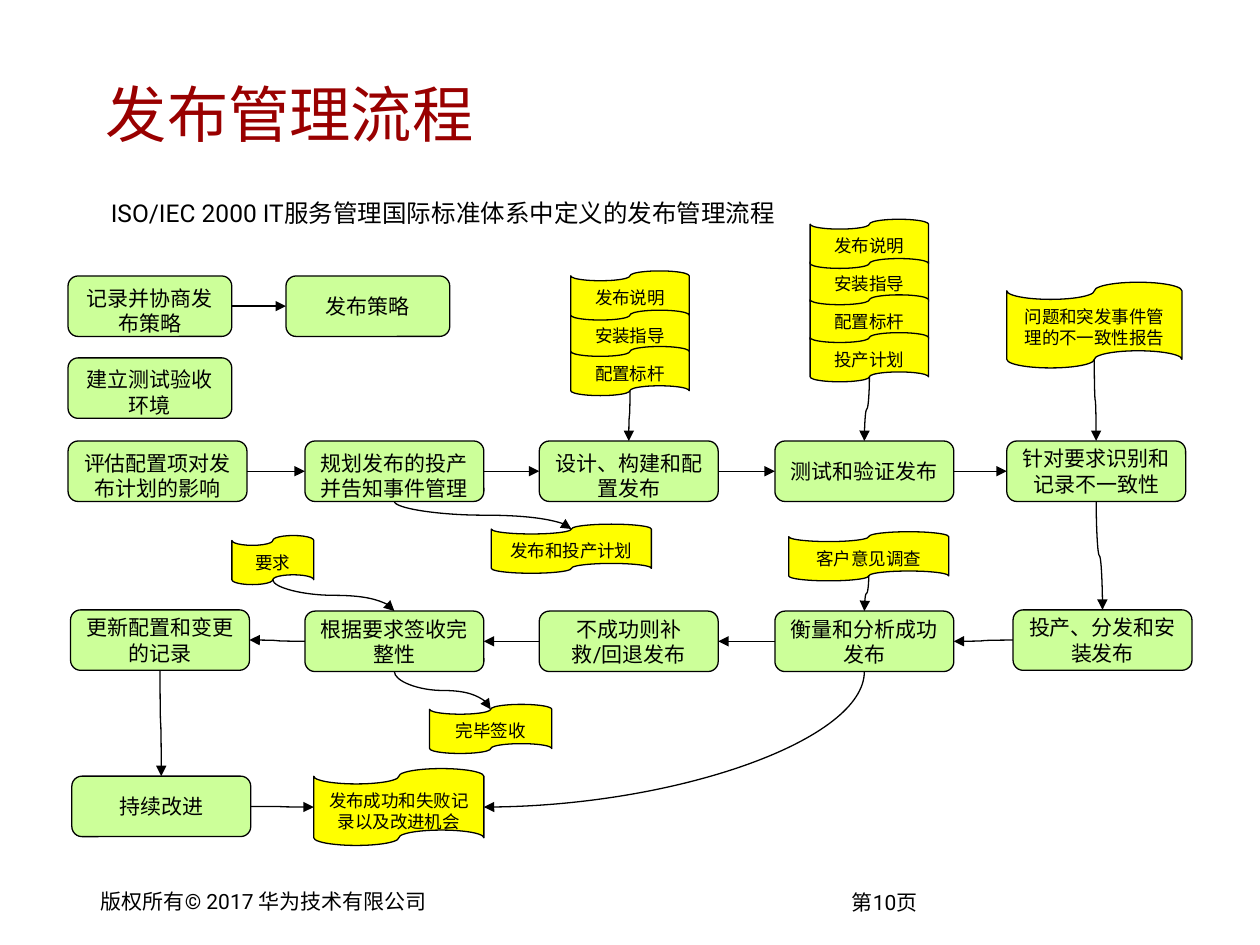
"""Build the release management process flow slide."""
from lxml import etree
from pptx import Presentation
from pptx import util as u
from pptx.dml.color import RGBColor
from pptx.enum import shapes, text
from pptx.oxml import ns

COLORS = {"title": "990000", "ink": "000000", "step": "CCFF99", "document": "FFFF00"}
TOP, LEFT, BOTTOM, RIGHT = range(4)
MIDDLE, UPPER = text.MSO_ANCHOR.MIDDLE, text.MSO_ANCHOR.TOP


def write(shape, wording, size, color="ink", align=text.PP_ALIGN.LEFT, anchor=UPPER, inset=(0.1, 0.05)):
    frame = shape.text_frame
    frame.text = wording
    frame.word_wrap = True
    frame.auto_size = text.MSO_AUTO_SIZE.NONE
    frame.vertical_anchor = anchor
    frame.margin_left = frame.margin_right = u.Inches(inset[0])
    frame.margin_top = frame.margin_bottom = u.Inches(inset[1])
    paragraph = frame.paragraphs[0]
    paragraph.alignment = align
    for run in paragraph.runs:
        run.font.size = u.Pt(size)
        run.font.name = "Roboto"
        run.font.color.rgb = RGBColor.from_string(COLORS[color])


def add_node(kind, wording, left, top, width, height, anchor=UPPER):
    preset, size = {
        "step": (shapes.MSO_SHAPE.FLOWCHART_ALTERNATE_PROCESS, 12),
        "document": (shapes.MSO_SHAPE.FLOWCHART_PUNCHED_TAPE, 10),
    }[kind]
    node = slide.shapes.add_shape(preset, *map(u.Inches, (left, top, width, height)))
    node.shadow.inherit = False
    node.fill.solid()
    node.fill.fore_color.rgb = RGBColor.from_string(COLORS[kind])
    node.line.color.rgb = RGBColor.from_string(COLORS["ink"])
    node.line.width = u.Pt(0.75)
    write(node, wording, size, align=text.PP_ALIGN.CENTER, anchor=anchor)
    return node


prs = Presentation()
prs.slide_width, prs.slide_height = u.Inches(10), u.Inches(7.5)
slide = prs.slides.add_slide(prs.slide_layouts[5])

title = slide.shapes.title
title.left, title.top, title.width, title.height = map(u.Inches, (0.75, 0.42, 8.44, 0.95))
write(title, "发布管理流程", 35, "title", anchor=MIDDLE, inset=(0.09, 0.04))

captions = [
    ("第10页", 12, (6.67, 7.02, 0.72, 0.29), (0.09, 0.04)),
    ("版权所有© 2017 华为技术有限公司", 12, (0.71, 7.01, 2.79, 0.29), (0.09, 0.04)),
    ("ISO/IEC 2000 IT服务管理国际标准体系中定义的发布管理流程", 14, (0.77, 1.52, 8.47, 0.35), (0.11, 0.05)),
]
for wording, size, box, inset in captions:
    write(slide.shapes.add_textbox(*map(u.Inches, box)), wording, size, inset=inset)

steps = [
    ("agree", "记录并协商发布策略", 0.54, 2.19, 1.3, UPPER),
    ("policy", "发布策略", 2.27, 2.19, 1.3, MIDDLE),
    ("environment", "建立测试验收环境", 0.54, 2.84, 1.3, UPPER),
    ("assess", "评估配置项对发布计划的影响", 0.54, 3.5, 1.42, UPPER),
    ("plan", "规划发布的投产并告知事件管理", 2.42, 3.5, 1.42, UPPER),
    ("design", "设计、构建和配置发布", 4.28, 3.5, 1.42, UPPER),
    ("test", "测试和验证发布", 6.15, 3.5, 1.42, MIDDLE),
    ("identify", "针对要求识别和记录不一致性", 7.99, 3.5, 1.42, MIDDLE),
    ("deploy", "投产、分发和安装发布", 8.04, 4.84, 1.42, MIDDLE),
    ("measure", "衡量和分析成功发布", 6.15, 4.85, 1.42, MIDDLE),
    ("fallback", "不成功则补救/回退发布", 4.28, 4.85, 1.42, MIDDLE),
    ("sign_off", "根据要求签收完整性", 2.42, 4.85, 1.42, MIDDLE),
    ("update", "更新配置和变更的记录", 0.56, 4.84, 1.42, MIDDLE),
    ("improve", "持续改进", 0.57, 6.16, 1.42, MIDDLE),
]
nodes = {}
for key, wording, left, top, width, anchor in steps:
    nodes[key] = add_node("step", wording, left, top, width, 0.48, anchor)

documents = [
    ("release_plan", "发布和投产计划", 3.9, 4.16, 1.27, 0.39),
    ("records", "发布成功和失败记录以及改进机会", 2.49, 6.1, 1.35, 0.61),
    ("report", "问题和突发事件管理的不一致性报告", 7.99, 2.24, 1.39, 0.68),
    ("survey", "客户意见调查", 6.26, 4.22, 1.27, 0.39),
    ("request", "要求", 1.84, 4.25, 0.65, 0.39),
    ("signed", "完毕签收", 3.41, 5.59, 0.97, 0.39),
]
for key, wording, *box in documents:
    nodes[key] = add_node("document", wording, *box)

stack_papers = ["发布说明", "安装指导", "配置标杆", "投产计划"]
for key, left, top, order in [("design_papers", 4.53, 2.15, (1, 0, 2)), ("test_papers", 6.43, 1.74, (1, 2, 0, 3))]:
    for row in order:
        nodes[key] = add_node("document", stack_papers[row], left, top + 0.3 * row, 0.94, 0.39)

flows = [
    ("agree", RIGHT, "policy", LEFT),
    ("assess", RIGHT, "plan", LEFT),
    ("plan", RIGHT, "design", LEFT),
    ("design", RIGHT, "test", LEFT),
    ("test", RIGHT, "identify", LEFT),
    ("identify", BOTTOM, "deploy", TOP),
    ("deploy", LEFT, "measure", RIGHT),
    ("measure", LEFT, "fallback", RIGHT),
    ("fallback", LEFT, "sign_off", RIGHT),
    ("sign_off", LEFT, "update", RIGHT),
    ("update", BOTTOM, "improve", TOP),
    ("improve", RIGHT, "records", LEFT),
    ("measure", BOTTOM, "records", RIGHT),
    ("design_papers", BOTTOM, "design", TOP),
    ("test_papers", BOTTOM, "test", TOP),
    ("report", BOTTOM, "identify", TOP),
    ("survey", BOTTOM, "measure", TOP),
    ("request", BOTTOM, "sign_off", TOP),
    ("plan", BOTTOM, "release_plan", TOP),
    ("sign_off", BOTTOM, "signed", TOP),
]
document_keys = {"design_papers", "test_papers"} | {document[0] for document in documents}
for source, exit_side, target, entry_side in flows:
    ends = []
    for key, side in ((source, exit_side), (target, entry_side)):
        node = nodes[key]
        wave = node.height // 10 if key in document_keys else 0
        center_x, center_y = node.left + node.width // 2, node.top + node.height // 2
        ends.append({
            TOP: (center_x, node.top + wave),
            LEFT: (node.left, center_y),
            BOTTOM: (center_x, node.top + node.height - wave),
            RIGHT: (node.left + node.width, center_y),
        }[side])
    (x1, y1), (x2, y2) = ends
    arrow = slide.shapes.add_connector(shapes.MSO_CONNECTOR.CURVE, x1, y1, x2, y2)
    arrow.begin_connect(nodes[source], exit_side)
    arrow.end_connect(nodes[target], entry_side)
    arrow.line.color.rgb = RGBColor.from_string(COLORS["ink"])
    arrow.line.width = u.Pt(0.75)
    etree.SubElement(arrow.line._get_or_add_ln(), ns.qn("a:tailEnd"), type="triangle")
    properties = arrow._element.spPr
    etree.SubElement(properties, ns.qn("a:effectLst"))
    frame = properties.find(ns.qn("a:xfrm"))
    across, down = abs(x2 - x1), abs(y2 - y1)
    flip_h, flip_v = x2 < x1, y2 < y1
    arrow.width, arrow.height = across, down
    if exit_side == BOTTOM:
        arrow.width, arrow.height = down, across
        flip_h, flip_v = False, x2 > x1
        frame.set("rot", "5400000")
        if entry_side == RIGHT:
            properties.find(ns.qn("a:prstGeom")).set("prst", "curvedConnector2")
    arrow.left = (x1 + x2 - arrow.width) // 2
    arrow.top = (y1 + y2 - arrow.height) // 2
    frame.set("flipH", str(int(flip_h)))
    frame.set("flipV", str(int(flip_v)))

prs.save("out.pptx")
